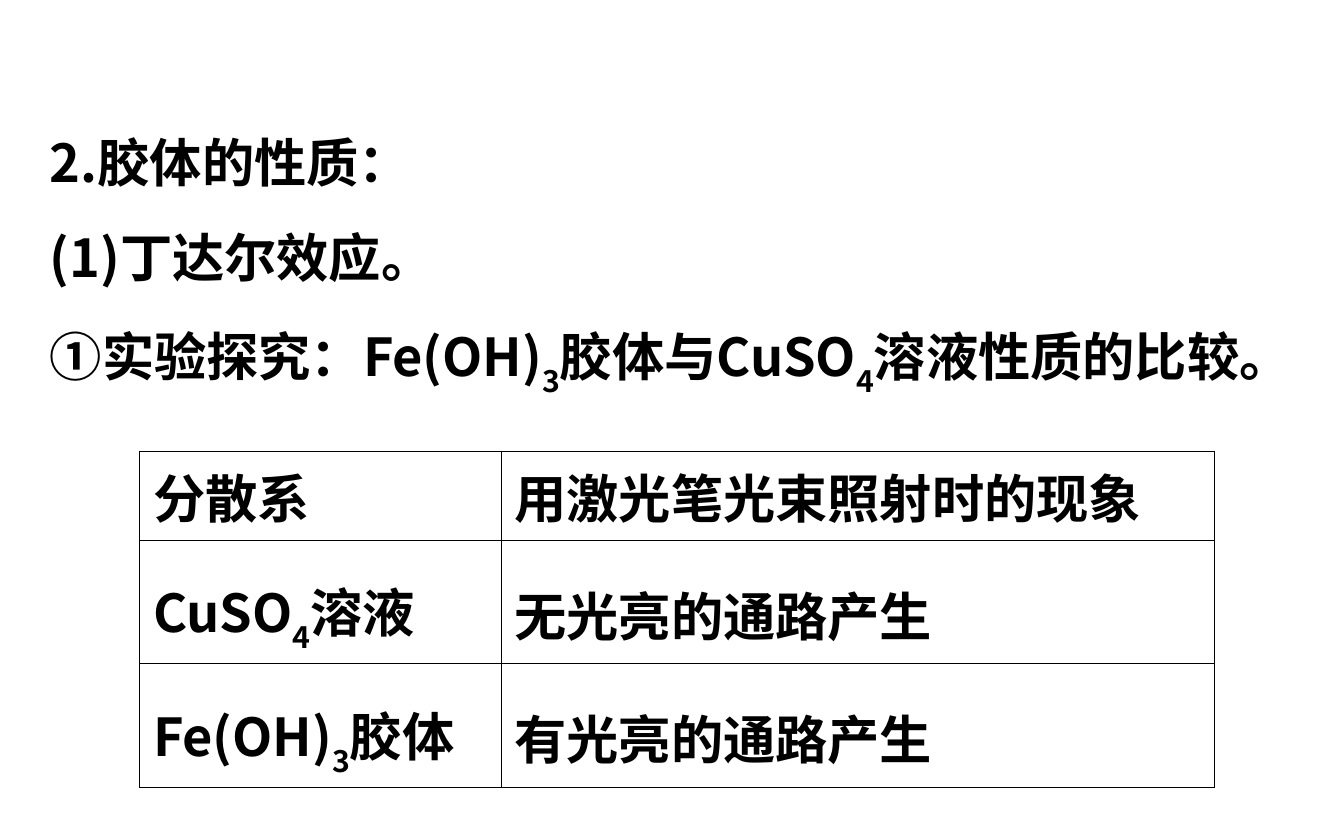
from dataclasses import dataclass

from lxml import etree
from pptx import Presentation
from pptx.dml.color import RGBColor
from pptx.enum import text
from pptx.oxml import ns
from pptx.util import Cm, Pt

FONT = "Noto Sans CJK SC"
SIZE = Pt(28)
COLORS = {"ink": "000000"}
OUTER, INNER = Pt(0.75), Pt(0.45)


@dataclass
class Line:
    pieces: tuple[str, ...]  # plain text and subscripts in turn
    spacing: float = 1.0


def add_child(parent, tag: str, **attrs: str):
    return etree.SubElement(parent, ns.qn(tag), **attrs)


def write_line(p, line: Line) -> None:
    pPr = p._p.get_or_add_pPr()
    pPr.set("marL", "0")
    pPr.set("indent", "0")
    add_child(pPr, "a:buNone")
    p.line_spacing = line.spacing
    p.space_before = Pt(0)
    p.font.name = FONT
    p.font.size = SIZE
    p.font.bold = True
    p.font.color.rgb = RGBColor.from_string(COLORS["ink"])
    add_child(p.font._element, "a:ea", typeface=FONT)
    for i, piece in enumerate(line.pieces):
        r = p.add_run()
        r.text = piece
        if i % 2:
            r.font._element.set("baseline", "-30000")


def set_borders(cell, widths: dict[str, int]) -> None:
    tcPr = cell._tc.get_or_add_tcPr()
    for side, width in widths.items():
        ln = add_child(tcPr, f"a:ln{side}", w=str(int(width)))
        add_child(add_child(ln, "a:solidFill"), "a:srgbClr", val=COLORS["ink"])


def fill_table(table, rows: list[list[Line]]) -> None:
    last_row, last_col = len(rows) - 1, len(rows[0]) - 1
    for i, row in enumerate(rows):
        for j, line in enumerate(row):
            cell = table.cell(i, j)
            cell.vertical_anchor = text.MSO_ANCHOR.MIDDLE
            set_borders(cell, {
                "L": INNER if j else OUTER,
                "R": OUTER if j == last_col else INNER,
                "T": INNER if i else OUTER,
                "B": OUTER if i == last_row else INNER,
            })
            cell.fill.background()
            write_line(cell.text_frame.paragraphs[0], line)


BODY = [
    Line(("2.胶体的性质：",), 1.5),
    Line(("(1)丁达尔效应。",), 1.5),
    Line(("①实验探究：Fe(OH)", "3", "胶体与CuSO", "4", "溶液性质的比较。"), 1.5),
]
ROWS = [
    [Line(("分散系",)), Line(("用激光笔光束照射时的现象",))],
    [Line(("CuSO", "4", "溶液"), 1.3), Line(("无光亮的通路产生",), 1.3)],
    [Line(("Fe(OH)", "3", "胶体"), 1.3), Line(("有光亮的通路产生",), 1.3)],
]
COL_WIDTHS = [Cm(6.83), Cm(13.49)]
ROW_HEIGHTS = [Cm(1.44), Cm(2.08), Cm(2.08)]

prs = Presentation()
prs.slide_width, prs.slide_height = Cm(25.4), Cm(15.88)
s = prs.slides.add_slide(prs.slide_layouts[1])
title, body = s.placeholders
title._element.getparent().remove(title._element)

# Body text
body.left, body.top, body.width, body.height = Cm(0.69), Cm(1.75), Cm(23.95), Cm(7.7)
tf = body.text_frame
tf.auto_size = text.MSO_AUTO_SIZE.NONE
for i, line in enumerate(BODY):
    write_line(tf.add_paragraph() if i else tf.paragraphs[0], line)

# Comparison table
table = s.shapes.add_table(len(ROWS), len(COL_WIDTHS), Cm(2.64), Cm(8.53),
                           sum(COL_WIDTHS), sum(ROW_HEIGHTS)).table
table.first_row = table.horz_banding = False
for column, width in zip(table.columns, COL_WIDTHS):
    column.width = width
for row, height in zip(table.rows, ROW_HEIGHTS):
    row.height = height
fill_table(table, ROWS)

prs.save("out.pptx")
